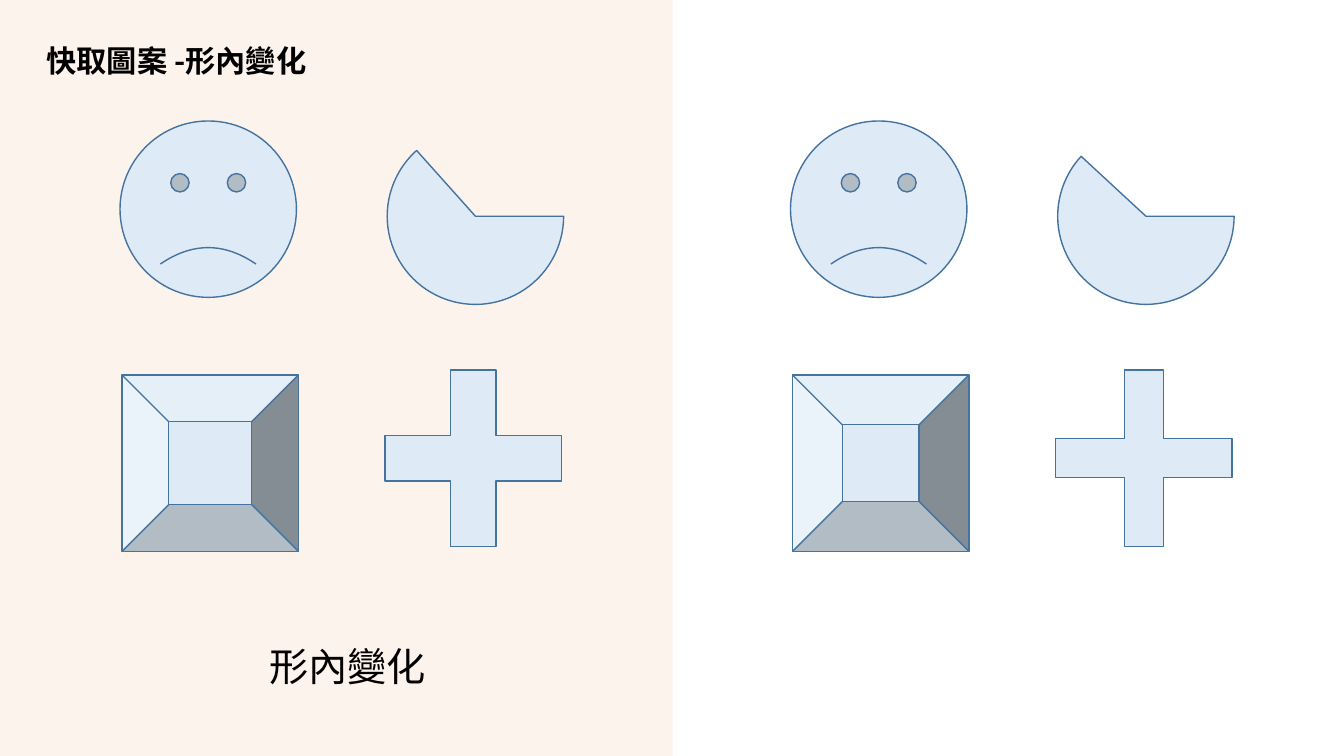
from dataclasses import dataclass

from lxml import etree
from pptx import Presentation
from pptx.dml.color import RGBColor
from pptx.enum import shapes, text
from pptx.oxml import ns
from pptx.util import Inches, Pt


@dataclass(frozen=True)
class Theme:
    panel: RGBColor = RGBColor.from_string("F4B183")
    divider: RGBColor = RGBColor.from_string("FBE5D6")
    fill: RGBColor = RGBColor.from_string("DEEBF7")
    outline: RGBColor = RGBColor.from_string("43739E")
    ink: RGBColor = RGBColor.from_string("000000")
    title_font: str = "Noto Sans CJK SC"
    caption_font: str = "Times New Roman"
    title_size: float = 21.6
    caption_size: float = 28


theme = Theme()


def set_opacity(element, percent):
    color = element.find(".//" + ns.qn("a:srgbClr"))
    etree.SubElement(color, ns.qn("a:alpha"), val=str(percent * 1000))


def add_span(para, words, font, size, bold):
    """Add a run whose Latin and East Asian fonts are both set."""
    span = para.add_run()
    span.text = words
    span.font.name = font
    span.font.size = Pt(size)
    span.font.bold = bold
    span.font.color.rgb = theme.ink
    latin = span.font._element.find(ns.qn("a:latin"))
    east_asian = etree.Element(ns.qn("a:ea"), typeface=theme.title_font)
    latin.addnext(east_asian)


deck = Presentation()
deck.slide_width = Inches(13.33)
deck.slide_height = Inches(7.5)
page = deck.slides.add_slide(deck.slide_layouts[5])

# Tinted left half and its edge
middle = Inches(6.67)
panel = page.shapes.add_shape(
    shapes.MSO_SHAPE.RECTANGLE, 0, 0, middle, deck.slide_height)
panel.shadow.inherit = False
panel.fill.solid()
panel.fill.fore_color.rgb = theme.panel
set_opacity(panel.element.spPr, 14)
panel.line.fill.background()

divider = page.shapes.add_connector(
    shapes.MSO_CONNECTOR.STRAIGHT, middle, deck.slide_height, middle, 0)
divider.line.color.rgb = theme.divider
divider.line.width = Pt(0.25)
divider_properties = divider.element.spPr
set_opacity(divider_properties, 50)
etree.SubElement(divider_properties, ns.qn("a:effectLst"))

# Title, in front of the panel
title = page.shapes.title
divider.element.addnext(title.element)
title.left, title.top = Inches(0.36), Inches(0.4)
title.width, title.height = Inches(5.95), Inches(0.44)
title.text_frame.word_wrap = False
title.text_frame.auto_size = text.MSO_AUTO_SIZE.NONE
title.text_frame.vertical_anchor = text.MSO_ANCHOR.MIDDLE
para = title.text_frame.paragraphs[0]
para.alignment = text.PP_ALIGN.LEFT
para.line_spacing = 0.9
add_span(para, "快取圖案 -形內變化", theme.title_font, theme.title_size, True)

# Each figure: preset, left, top, adjustments on the left and right halves
figures = [
    (shapes.MSO_SHAPE.SMILEY_FACE, 1.19, 1.2, [-0.04653], [-0.04653]),
    (shapes.MSO_SHAPE.PIE, 3.84, 1.27, [0, 136.92], [0, 133.66]),
    (shapes.MSO_SHAPE.BEVEL, 1.21, 3.72, [0.265], [0.282]),
    (shapes.MSO_SHAPE.CROSS, 3.82, 3.67, [0.371], [0.39]),
]
figure_size = Inches(1.75)
half_step = 6.65

for half in range(2):
    for preset, left, top, *adjustments in figures:
        figure = page.shapes.add_shape(
            preset, Inches(left + half * half_step), Inches(top),
            figure_size, figure_size)
        for index, value in enumerate(adjustments[half]):
            figure.adjustments[index] = value
        figure.shadow.inherit = False
        figure.fill.solid()
        figure.fill.fore_color.rgb = theme.fill
        figure.line.color.rgb = theme.outline
        figure.line.width = Pt(1)

# Caption
caption = page.shapes.add_textbox(
    Inches(1.48), Inches(6.21), Inches(3.94), Inches(0.79))
caption.text_frame.word_wrap = True
caption.text_frame.vertical_anchor = text.MSO_ANCHOR.MIDDLE
para = caption.text_frame.paragraphs[0]
para.alignment = text.PP_ALIGN.CENTER
add_span(para, "形內變化", theme.caption_font, theme.caption_size, False)

deck.save("out.pptx")
